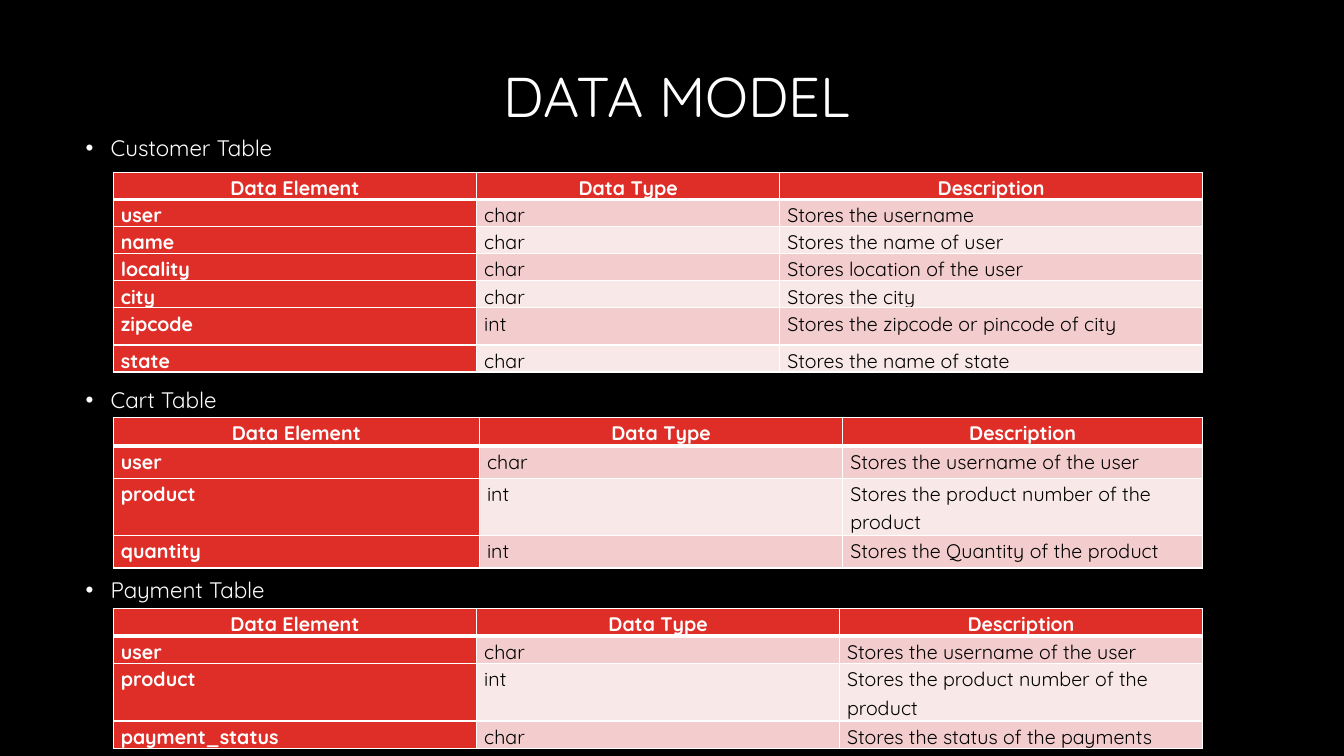
from dataclasses import dataclass

from lxml import etree
from pptx import Presentation
from pptx import util as u
from pptx.dml.color import RGBColor
from pptx.enum import text
from pptx.oxml import ns


@dataclass(frozen=True)
class Theme:
    font: str = "Quicksand"
    back: str = "000000"
    light: str = "FFFFFF"
    dark: str = "000000"
    red: str = "DF2E28"
    bands: tuple = ("F3CDCD", "F9E8E8")
    title: int = 40
    label: int = 16
    cell: int = 14
    thin: int = 1
    thick: int = 3


class Deck:
    def __init__(self, theme, wide, high):
        self.theme = theme
        self.prs = Presentation()
        self.prs.slide_width, self.prs.slide_height = u.Pt(wide), u.Pt(high)
        self.slide = self.prs.slides.add_slide(self.prs.slide_layouts[6])
        fill = self.slide.background.fill
        fill.solid()
        fill.fore_color.rgb = RGBColor.from_string(theme.back)

    def style(self, para, size, color, bold=False, space=0.9):
        para.line_spacing = space
        for run in para.runs:
            font = run.font
            font.name, font.size, font.bold = self.theme.font, u.Pt(size), bold
            font.color.rgb = RGBColor.from_string(color)

    def box(self, *place):
        frame = self.slide.shapes.add_textbox(*map(u.Pt, place)).text_frame
        frame.word_wrap = True
        return frame

    def title(self, words, *place):
        frame = self.box(*place)
        frame.vertical_anchor = text.MSO_ANCHOR.MIDDLE
        frame.text = words
        para = frame.paragraphs[0]
        para.alignment = text.PP_ALIGN.CENTER
        self.style(para, self.theme.title, self.theme.light)

    def bullets(self, items, *place):
        frame = self.box(*place)
        frame.text = "\n".join(words for words, _ in items)
        for para, (_, gap) in zip(frame.paragraphs, items):
            props = para._p.get_or_add_pPr()
            props.set("marL", str(u.Pt(18)))
            props.set("indent", str(u.Pt(-18)))
            etree.SubElement(props, ns.qn("a:buFont"), typeface="Arial")
            etree.SubElement(props, ns.qn("a:buChar"), char="•")
            para.space_before = u.Pt(gap)
            self.style(para, self.theme.label, self.theme.light)

    def border(self, cell, side, width):
        props = cell._tc.get_or_add_tcPr()
        line = etree.SubElement(props, ns.qn("a:ln" + side), w=str(u.Pt(width)))
        fill = etree.SubElement(line, ns.qn("a:solidFill"))
        etree.SubElement(fill, ns.qn("a:srgbClr"), val=self.theme.light)

    def cell(self, cell, words, row, col):
        look = self.theme
        head = row == 0
        strong = head or col == 0
        # Borders, with a heavy rule under the header
        for side in "LRTB":
            rule = (side, row) in (("B", 0), ("T", 1))
            self.border(cell, side, look.thick if rule else look.thin)
        # Fill and margins
        cell.fill.solid()
        color = look.red if strong else look.bands[(row - 1) % 2]
        cell.fill.fore_color.rgb = RGBColor.from_string(color)
        cell.margin_left = cell.margin_right = u.Pt(5.4)
        cell.margin_top = cell.margin_bottom = 0
        # Text
        cell.text_frame.text = words
        para = cell.text_frame.paragraphs[0]
        para.alignment = text.PP_ALIGN.CENTER if head else text.PP_ALIGN.LEFT
        para.space_after = u.Pt(10)
        self.style(para, look.cell, look.light if strong else look.dark, strong, 1.15)

    def table(self, left, top, cols, highs, rows):
        shape = self.slide.shapes.add_table(
            len(rows), len(cols), u.Pt(left), u.Pt(top),
            u.Pt(sum(cols)), u.Pt(sum(highs)))
        grid = shape.table
        for col, wide in zip(grid.columns, cols):
            col.width = u.Pt(wide)
        for row, high in zip(grid.rows, highs):
            row.height = u.Pt(high)
        for r, row in enumerate(rows):
            for c, words in enumerate(row):
                self.cell(grid.cell(r, c), words, r, c)


HEAD = ("Data Element", "Data Type", "Description")
USER = ("user", "char", "Stores the username of the user")
ITEM = ("product", "int", "Stores the product number of the product")

# Top, column widths, row heights and body rows of each table
TABLES = [
    (123.2, (259.5, 216.5, 302), (16.9,) * 5 + (26.6, 16.9), [
        ("user", "char", "Stores the username"),
        ("name", "char", "Stores the name of user"),
        ("locality", "char", "Stores location of the user"),
        ("city", "char", "Stores the city"),
        ("zipcode", "int", "Stores the zipcode or pincode of city"),
        ("state", "char", "Stores the name of state"),
    ]),
    (298.2, (261.5, 259.5, 257), (20.2, 23.2, 41, 23.2), [
        USER,
        ITEM,
        ("quantity", "int", "Stores the Quantity of the product"),
    ]),
    (434.7, (259.5, 259.25, 259.25), (19.7, 19.7, 41, 19.7), [
        USER,
        ITEM,
        ("payment_status", "char", "Stores the status of the payments"),
    ]),
]

# Labels with the space above each
LABELS = [("Customer Table", 0), ("Cart Table", 162.7), ("Payment Table", 118.4)]


def main():
    deck = Deck(Theme(), 960, 540)
    deck.title("DATA MODEL", 60, 31.5, 847, 78.5)
    deck.bullets(LABELS, 54, 94.3, 852, 433.5)
    for top, cols, highs, rows in TABLES:
        deck.table(81, top, cols, highs, [HEAD] + rows)
    deck.prs.save("out.pptx")


if __name__ == "__main__":
    main()
